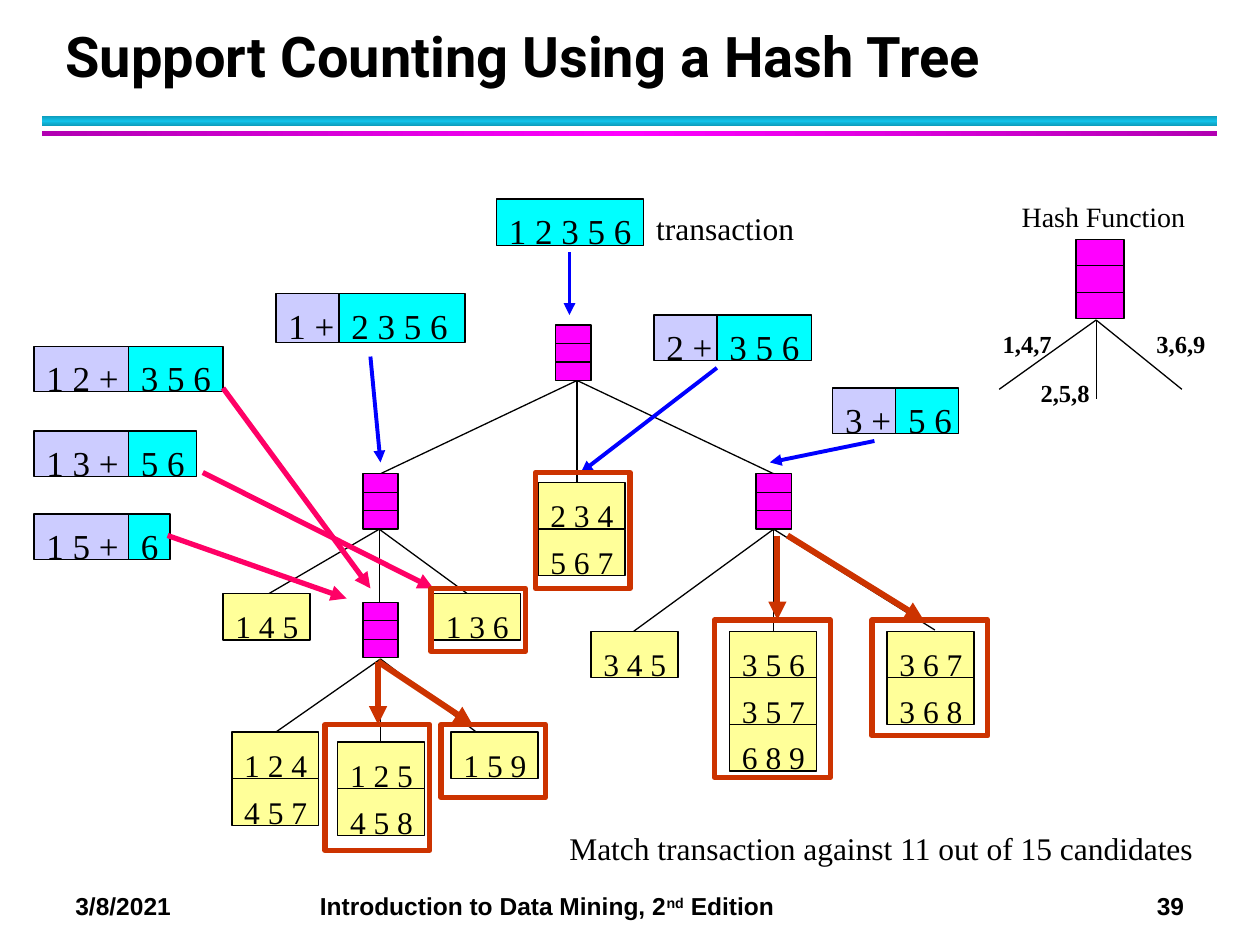
from copy import deepcopy

from lxml.etree import SubElement
from pptx import Presentation
from pptx.dml.color import RGBColor
from pptx.enum.shapes import MSO_CONNECTOR, MSO_SHAPE
from pptx.enum.text import MSO_ANCHOR
from pptx.oxml.ns import qn
from pptx.util import Inches, Pt

COLORS = {
    "black": "000000", "teal": "0E9BBA", "sky": "12C2E9",
    "plum": "B200B2", "pink": "FF00FF", "cream": "FFFF99",
    "cyan": "00FFFF", "lilac": "CCCCFF", "blue": "0000FF",
    "rose": "FF0066", "rust": "CC3300",
}
SERIF = "Times New Roman"
GLYPHS = {" ": 0.25, "+": 0.56}  # widths in em; digits take 0.5


def color(name):
    return RGBColor.from_string(COLORS[name])


class Painter:
    def __init__(self, slide):
        self.slide = slide
        self.shapes = slide.shapes

    def rect(self, x, y, w, h, fill=None, line="black", width=0.75):
        box = self.shapes.add_shape(
            MSO_SHAPE.RECTANGLE, Inches(x), Inches(y), Inches(w), Inches(h))
        box.shadow.inherit = False
        if fill:
            box.fill.solid()
            box.fill.fore_color.rgb = color(fill)
        else:
            box.fill.background()
        if line:
            box.line.color.rgb = color(line)
            box.line.width = Pt(width)
        else:
            box.line.fill.background()
        return box

    def band(self, y, h, edge, core, angle):
        """Draw a full-width rule that shades from edge to core and back."""
        bar = self.rect(0.33, y, 9.33, h, line=None)
        bar.fill.gradient()
        bar.fill.gradient_angle = angle
        stops = bar._element.spPr.find(".//" + qn("a:gsLst"))
        stops.append(deepcopy(stops[0]))
        shades = zip(bar.fill.gradient_stops, (0, 0.5, 1), (edge, core, edge))
        for stop, place, name in shades:
            stop.position = place
            stop.color.rgb = color(name)

    def line(self, start, end, name="black", width=0.75, arrow=False):
        link = self.shapes.add_connector(
            MSO_CONNECTOR.STRAIGHT, *map(Inches, (*start, *end)))
        link.line.color.rgb = color(name)
        link.line.width = Pt(width)
        if arrow:
            SubElement(link.line._get_or_add_ln(), qn("a:tailEnd"), type="triangle")
        SubElement(link._element.spPr, qn("a:effectLst"))

    def fan(self, start, *ends):
        for end in ends:
            self.line(start, end)

    def node(self, x, y, w=0.28, h=0.44):
        """Draw a hash node split in three rows."""
        self.rect(x, y, w, h, "pink")
        for row in (1, 2):
            level = y + h * row / 3
            self.line((x, level), (x + w, level))

    def text(self, x, y, w, h, runs, size, font=SERIF, bold=False, wrap=False):
        """Add one paragraph; runs is a string or a list of strings."""
        box = self.shapes.add_textbox(Inches(x), Inches(y), Inches(w), Inches(h))
        frame = box.text_frame
        frame.word_wrap = wrap
        frame.margin_top = Inches(0.05 + size / 600)
        for part in [runs] if isinstance(runs, str) else runs:
            run = frame.paragraphs[0].add_run()
            run.text = part
            run.font.size = Pt(size)
            run.font.name = font
            run.font.bold = bold
            run.font.color.rgb = color("black")
        return frame

    def cell(self, x, y, w, h, fill, label, size, drop=0):
        """Draw a filled box with a label sized to its glyphs."""
        self.rect(x, y, w, h, fill)
        ems = sum(GLYPHS.get(sign, 0.5) for sign in label)
        self.text(x, y + drop, 0.2 + ems * size / 72, size / 50 + 0.03, label, size)

    def leaf(self, x, y, *labels):
        for row, label in enumerate(labels):
            self.cell(x, y + row * 0.37, 0.69, 0.37, "cream", label, 18, 0.03)

    def split(self, x, y, head, rest, w, tail, h=0.36):
        """Draw a fixed prefix beside the items still to be matched."""
        self.cell(x, y, w, h, "lilac", head, 20)
        self.cell(x + w, y, tail, h, "cyan", rest, 20)

    def title(self, label):
        frame = self.text(0.42, 0.17, 9.06, 0.58, label, 32, "Roboto", True, True)
        frame.margin_top = Inches(0.05)
        frame.vertical_anchor = MSO_ANCHOR.BOTTOM
        frame.paragraphs[0].line_spacing = Pt(36)

    def footer(self, date, book, power, rest, page):
        runs = [date + "\t" + book, power, rest + "\t" + page]
        frame = self.text(0.5, 7, 9.33, 0.34, runs, 14, "Arial", True, True)
        para = frame.paragraphs[0]
        para.runs[1]._r.get_or_add_rPr().set("baseline", "30000")
        tabs = SubElement(para._p.get_or_add_pPr(), qn("a:tabLst"))
        for place, side in ((1.94, "l"), (8.8, "r")):
            SubElement(tabs, qn("a:tab"), pos=str(Inches(place)), algn=side)


def main():
    deck = Presentation()
    deck.slide_width, deck.slide_height = Inches(10), Inches(7.5)
    art = Painter(deck.slides.add_slide(deck.slide_layouts[6]))

    art.band(0.92, 0.08, "teal", "sky", 90)
    art.band(1.04, 0.04, "plum", "pink", 0)
    art.footer("3/8/2021", "Introduction to Data Mining, 2", "nd", " Edition", "39")
    art.title("Support Counting Using a Hash Tree")

    # Hash tree
    art.fan((4.58, 3.02), (3.02, 3.76), (4.58, 3.83), (6.14, 3.76))
    art.fan((3.01, 4.2), (2.12, 4.72), (3.01, 4.78), (3.72, 4.72))
    art.fan((6.14, 4.2), (5.03, 5.01), (6.14, 5.01), (7.42, 5))
    art.fan((3.02, 5.23), (2.19, 5.81), (3.02, 5.89), (3.78, 5.81))
    for spot in ((2.88, 3.76), (6, 3.76), (2.88, 4.78), (4.41, 2.58)):
        art.node(*spot)
    for leaf in (
        (3.58, 5.81, "1 5 9"),
        (1.77, 4.71, "1 4 5"),
        (3.44, 4.71, "1 3 6"),
        (4.69, 5.01, "3 4 5"),
        (7.04, 5.01, "3 6 7", "3 6 8"),
        (5.79, 5.01, "3 5 6", "3 5 7", "6 8 9"),
        (4.27, 3.83, "2 3 4", "5 6 7"),
        (1.84, 5.81, "1 2 4", "4 5 7"),
        (2.68, 5.89, "1 2 5", "4 5 8"),
    ):
        art.leaf(*leaf)

    # Hash function
    art.text(8.01, 1.51, 1.51, 0.37, "Hash Function", 16)
    art.node(8.54, 1.9, 0.38, 0.63)
    art.fan((8.7, 2.54), (7.93, 3.09), (8.7, 3.17), (9.38, 3.09))
    for x, y, label in ((7.86, 2.54, "1,4,7"), (8.16, 2.93, "2,5,8"),
                        (9.08, 2.54, "3,6,9")):
        art.text(x, y, 0.59, 0.33, label, 14, bold=True)

    # Transaction and its prefixes
    art.cell(3.94, 1.58, 1.17, 0.37, "cyan", "1 2 3 5 6", 20)
    art.text(5.11, 1.58, 1.3, 0.4, "transaction", 18)
    for start, end in (
        ((4.52, 2), (4.52, 2.5)), ((2.94, 2.83), (3.02, 3.67)),
        ((5.69, 2.92), (4.61, 3.75)), ((6.94, 3.5), (6.11, 3.67)),
    ):
        art.line(start, end, "blue", 2.25, True)
    art.split(0.27, 2.75, "1 2 +", "3 5 6", 0.75, 0.75)
    art.split(0.27, 3.42, "1 3 +", "5 6", 0.75, 0.54)
    art.split(0.27, 4.08, "1 5 +", "6", 0.75, 0.33)
    for start, end in (
        ((1.77, 3.08), (2.94, 4.67)), ((1.33, 4.25), (2.75, 4.75)),
        ((1.61, 3.75), (3.44, 4.67)),
    ):
        art.line(start, end, "rose", 3, True)
    art.split(5.19, 2.5, "2 +", "3 5 6", 0.5, 0.75)
    art.split(6.61, 3.08, "3 +", "5 6", 0.5, 0.5)
    art.split(2.19, 2.33, "1 +", "2 3 5 6", 0.5, 1, 0.39)

    # Visited leaves
    for start, end in (
        ((3, 5.25), (3, 5.75)), ((3, 5.25), (3.75, 5.75)),
        ((6.17, 4.25), (6.17, 4.92)), ((6.25, 4.25), (7.33, 4.92)),
    ):
        art.line(start, end, "rust", 3.5, True)
    for frame in (
        (2.58, 5.75, 0.83, 1), (3.5, 5.75, 0.83, 0.58), (4.25, 3.75, 0.75, 0.92),
        (3.42, 4.67, 0.75, 0.5), (5.67, 4.92, 0.92, 1.25), (6.92, 4.92, 0.92, 0.92),
    ):
        art.rect(*frame, line="rust", width=3)
    art.text(4.42, 6.5, 5.26, 0.4,
             "Match transaction against 11 out of 15 candidates", 18, wrap=True)

    deck.save("out.pptx")


if __name__ == "__main__":
    main()
